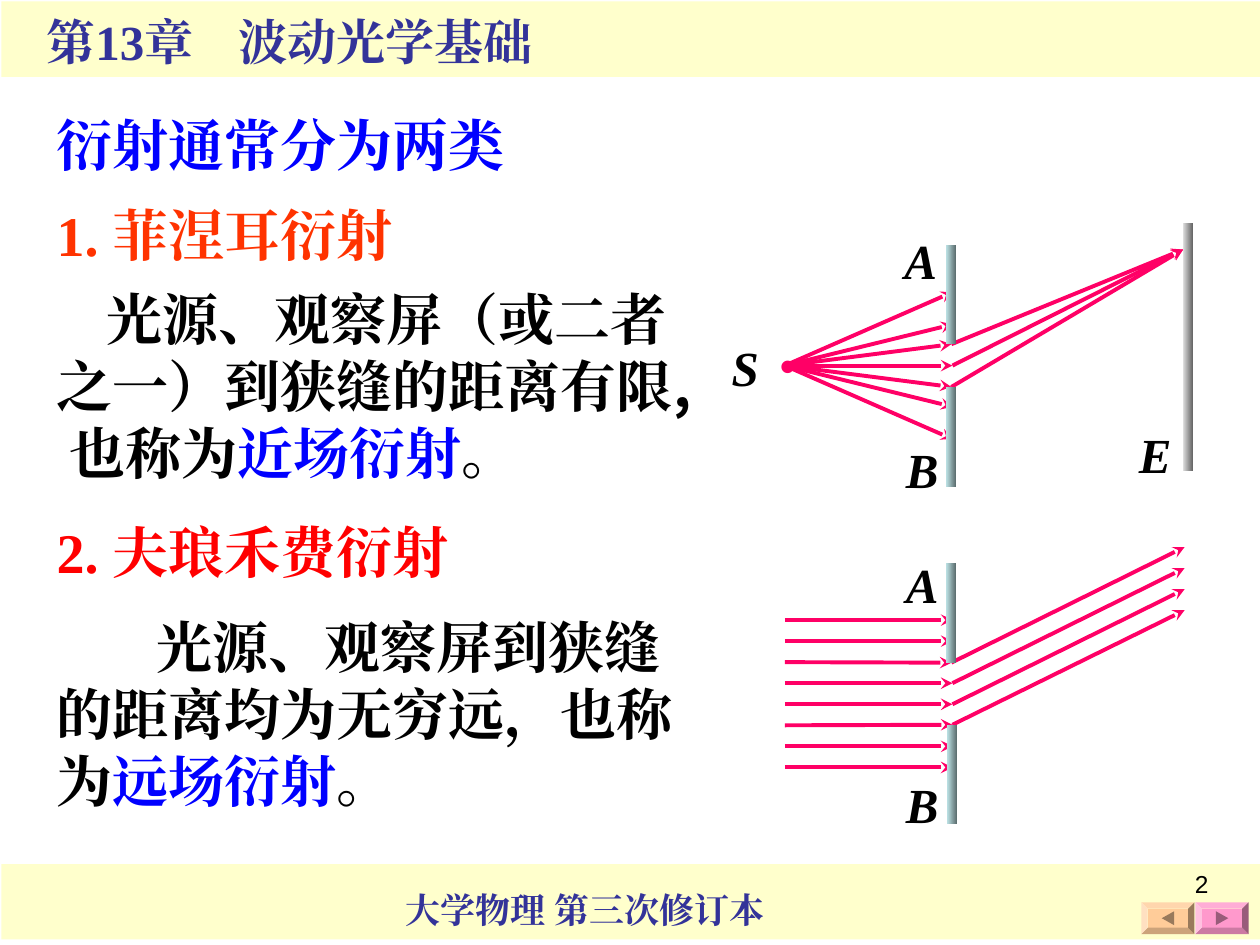
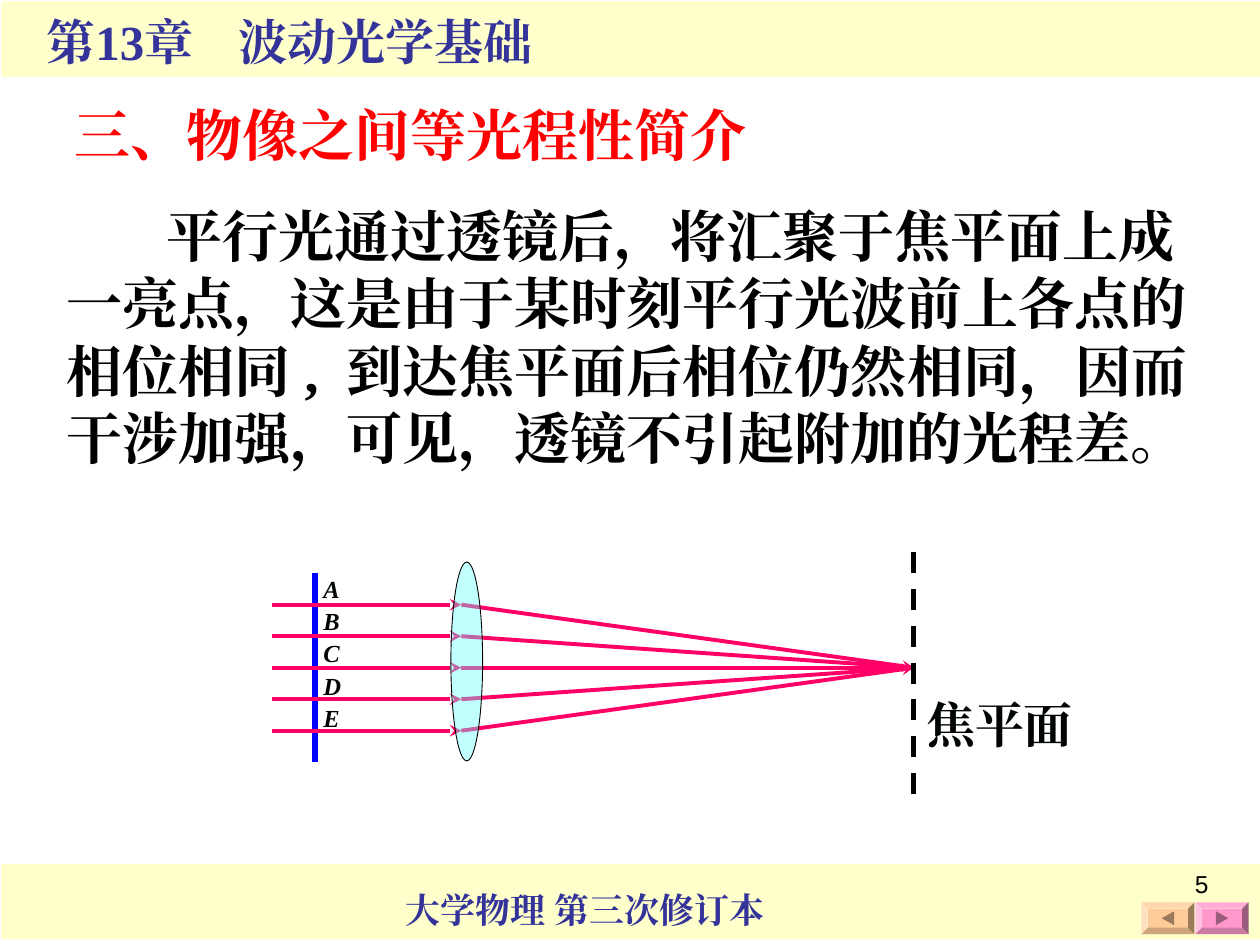
from lxml import etree
from pptx import Presentation
from pptx import util as u
from pptx.dml.color import RGBColor
from pptx.enum import dml, shapes, text
from pptx.oxml import ns

SERIF = "Times New Roman"
SANS = "Noto Sans CJK SC"
BLACK, BLUE, RED, ORANGE = "000000", "0000FF", "FF0000", "FF3300"
NAVY, CREAM, RAY, INK = "333399", "FFFFCC", "FF0066", "000404"
TEAL_DARK, TEAL_LIGHT = "566768", "BBE0E3"
GREY_DARK, GREY_LIGHT = "656565", "DDDDDD"


def color(value):
    return RGBColor.from_string(value)


def add_child(parent, tag, **attributes):
    return etree.SubElement(parent, ns.qn(tag), **attributes)


def add_span(para, words, size, ink=BLACK, font=SERIF, bold=True, italic=False, spacing=None):
    span = para.add_run()
    span.text = words
    span.font.size = u.Pt(size)
    span.font.bold = bold
    span.font.italic = italic
    span.font.name = font
    span.font.color.rgb = color(ink)
    properties = span._r.get_or_add_rPr()
    properties.set("lang", "zh-CN")
    if spacing:
        properties.set("spc", str(spacing * 100))
    add_child(properties, "a:ea", typeface=SERIF)


def add_box(page, left, top, width, height):
    box = page.shapes.add_textbox(u.Cm(left), u.Cm(top), u.Cm(width), u.Cm(height))
    box.text_frame.word_wrap = True
    return box.text_frame.paragraphs[0]


def add_label(page, words, left, top, width=1.96, height=1.45, size=28, **style):
    para = add_box(page, left, top, width, height)
    add_span(para, words, size, **style)
    return para


def add_symbol(page, words, left, top):
    add_label(page, words, left, top, italic=True)


def add_body(page, left, top, width, height, indent, spans):
    para = add_box(page, left, top, width, height)
    para._p.get_or_add_pPr().set("indent", str(u.Cm(indent)))
    for words, style in spans:
        add_span(para, words, 32, **style)


def set_title(page, words, left, top, width, ink):
    title = page.shapes.title
    title.left, title.top = u.Cm(left), u.Cm(top)
    title.width, title.height = u.Cm(width), u.Cm(1.63)
    frame = title.text_frame
    frame.word_wrap = True
    frame.auto_size = text.MSO_AUTO_SIZE.NONE
    frame.vertical_anchor = text.MSO_ANCHOR.TOP
    para = frame.paragraphs[0]
    para.alignment = text.PP_ALIGN.LEFT
    add_span(para, words, 32, ink)


def add_shape(page, kind, left, top, width, height, fill=None):
    shape = page.shapes.add_shape(kind, u.Cm(left), u.Cm(top), u.Cm(width), u.Cm(height))
    shape.shadow.inherit = False
    shape.line.fill.background()
    if fill:
        shape.fill.solid()
        shape.fill.fore_color.rgb = color(fill)
    return shape


def add_plate(page, left, top, height, dark=TEAL_DARK, light=TEAL_LIGHT):
    plate = add_shape(page, shapes.MSO_SHAPE.RECTANGLE, left, top, 0.2, height)
    plate.fill.gradient()
    plate.fill.gradient_angle = 180
    for stop, shade in zip(plate.fill.gradient_stops, (dark, light)):
        stop.color.rgb = color(shade)
    return plate


def add_line(page, start, end, ink=RAY, width=2.25, arrow=False, dashed=False):
    line = page.shapes.add_connector(
        shapes.MSO_CONNECTOR.STRAIGHT, *(u.Cm(value) for value in (*start, *end)))
    line.line.color.rgb = color(ink)
    line.line.width = u.Pt(width)
    if dashed:
        line.line.dash_style = dml.MSO_LINE.DASH
    if arrow:
        add_child(line.line._get_or_add_ln(), "a:tailEnd", type="stealth")
    add_child(line._element.spPr, "a:effectLst")
    return line


def add_button(page, left, fill, icon_fill, rotation):
    top, width, height = 18.19, 1.07, 0.64
    button = add_shape(page, shapes.MSO_SHAPE.BEVEL, left, top, width, height, fill)
    button.adjustments[0] = 0.2
    icon_width, icon_height = 0.28, 0.25
    icon = add_shape(page, shapes.MSO_SHAPE.ISOSCELES_TRIANGLE,
                     left + (width - icon_width) / 2, top + (height - icon_height) / 2,
                     icon_width, icon_height, icon_fill)
    icon.rotation = rotation


def add_page(deck, number, title, left, top, width, ink):
    page = deck.slides.add_slide(deck.slide_layouts[5])
    for band_top in (17.42, 0.03):
        add_shape(page, shapes.MSO_SHAPE.RECTANGLE, 0.03, band_top, 25.37, 1.52, CREAM)
    add_label(page, "大学物理 第三次修订本", 7.92, 17.78, 7.92, 1.12, 20, ink=NAVY)
    chapter = add_box(page, 0.69, 0.1, 11.33, 1.45)
    tabs = add_child(chapter._p.get_or_add_pPr(), "a:tabLst")
    add_child(tabs, "a:tab", pos=str(u.Cm(3.87)), algn="l")
    add_span(chapter, "第13章\t波动光学基础", 28, NAVY)
    add_button(page, 24.1, "FF99CC", "995C7A", 90)
    add_button(page, 23.01, "FFCC99", "997A5C", 270)
    number_para = add_label(page, str(number), 18.69, 17.4, 5.92, 1.32, 14,
                            font="Arial", bold=False)
    number_para.alignment = text.PP_ALIGN.RIGHT
    set_title(page, title, left, top, width, ink)
    return page


def draw_near_field(page):
    source, focus, slit = (15.82, 7.37), (23.85, 5.03), 19.2
    half_slit = 0.43
    converging = [add_line(page, (slit, source[1] + offset), focus, arrow=True)
                  for offset in (-half_slit, 0, half_slit)]
    add_symbol(page, "A", 17.98, 4.52)
    add_symbol(page, "B", 18.01, 8.74)
    add_label(page, ".", 15.44, 5.84, 0.89, 2.13, 44, ink=RAY)
    spreading = [add_line(page, source, (slit, source[1] + offset), arrow=True)
                 for offset in (-1.48, -0.83, -half_slit, 0, half_slit, 0.83, 1.48)]
    add_symbol(page, "S", 14.5, 6.68)
    add_symbol(page, "E", 22.71, 8.43)
    upper = add_plate(page, 19.08, 4.93, 2.01)
    lower = add_plate(page, 19.08, 7.8, 2.01)
    add_plate(page, 23.85, 4.5, 5, GREY_DARK, GREY_LIGHT)
    join_slit(upper, lower, spreading[2], spreading[4], converging)


def draw_far_field(page):
    slit, first, last, count = 19.2, 12.5, 15.47, 8
    heights = [first + row * (last - first) / (count - 1) for row in range(count)]
    outgoing = [add_line(page, (slit, y), (23.88, y - 2.32), arrow=True)
                for y in heights[2:6]]
    incoming = [add_line(page, (15.82, y), (slit, y), arrow=True) for y in heights]
    add_symbol(page, "A", 18.01, 11.05)
    add_symbol(page, "B", 18.01, 15.49)
    upper = add_plate(page, 19.08, 11.35, 2.01)
    lower = add_plate(page, 19.1, 14.61, 2.01)
    join_slit(upper, lower, incoming[2], incoming[5], outgoing)


def join_slit(upper, lower, upper_ray, lower_ray, passed):
    upper_ray.end_connect(upper, 2)
    passed[0].begin_connect(upper, 2)
    lower_ray.end_connect(lower, 0)
    passed[-1].begin_connect(lower, 0)


def draw_lens(page):
    start, lens, focus = 5.49, 9.3, (18.42, 13.46)
    heights = [focus[1] + row * 0.635 for row in range(-2, 3)]
    add_line(page, (6.35, 11.56), (6.35, 15.37), BLUE, 3)
    for y in heights:
        add_line(page, (start, y), (lens, y), arrow=True)
    for y in heights:
        add_line(page, (lens, y), focus, arrow=y in (heights[0], heights[-1]))
    add_line(page, (focus[0], 11.13), (focus[0], 16.21), INK, 3, dashed=True)
    add_label(page, "焦平面", focus[0], 13.87, 5.21, ink=INK)
    letters = add_label(page, "ABCDE", 6.27, 11.38, 0.84, 3.53, 14, ink=INK, italic=True)
    letters.line_spacing = 1.1
    glass = add_shape(page, shapes.MSO_SHAPE.OVAL, 9.09, 11.33, 0.64, 4.01, "66FFFF")
    tint = glass._element.spPr.find(ns.qn("a:solidFill"))[0]
    add_child(tint, "a:alpha", val="40000")
    glass.line.color.rgb = color(BLACK)
    glass.line.width = u.Pt(0.5)


def main():
    deck = Presentation()
    deck.slide_width, deck.slide_height = u.Cm(25.4), u.Cm(19.05)

    page = add_page(deck, 2, "衍射通常分为两类", 0.89, 2.11, 13.21, BLUE)
    add_label(page, "1. 菲涅耳衍射", 0.89, 3.91, 9.3, 1.63, 32, ink=ORANGE)
    add_body(page, 0.89, 5.61, 13.21, 4.32, 1.01, [
        ("光源、观察屏（或二者之一）到狭缝的距离有限, 也称为", {"font": SANS}),
        ("近场衍射", {"font": SANS, "ink": BLUE}),
        ("。", {"font": SANS}),
    ])
    add_label(page, "2. 夫琅禾费衍射", 0.89, 10.31, 9.14, 1.63, 32, ink=RED)
    add_body(page, 0.89, 12.22, 13.41, 4.32, 2.02, [
        ("光源、观察屏到狭缝的距离均为无穷远，也称为", {}),
        ("远场衍射", {"ink": BLUE}),
        ("。", {}),
    ])
    draw_near_field(page)
    draw_far_field(page)

    page = add_page(deck, 5, "三、物像之间等光程性简介", 1.24, 1.9, 16.46, RED)
    add_body(page, 1.09, 3.94, 23.39, 5.69, 2.02, [
        ("平行光通过透镜后，将汇聚于焦平面上成一亮点，这是由于某时刻平行光波前上各点的相位相同 ,", {}),
        (" ", {"spacing": 8}),
        ("到达焦平面后相位仍然相同，因而干涉加强，可见，透镜不引起附加的光程差。", {}),
    ])
    draw_lens(page)
    deck.save("out.pptx")


if __name__ == "__main__":
    main()
